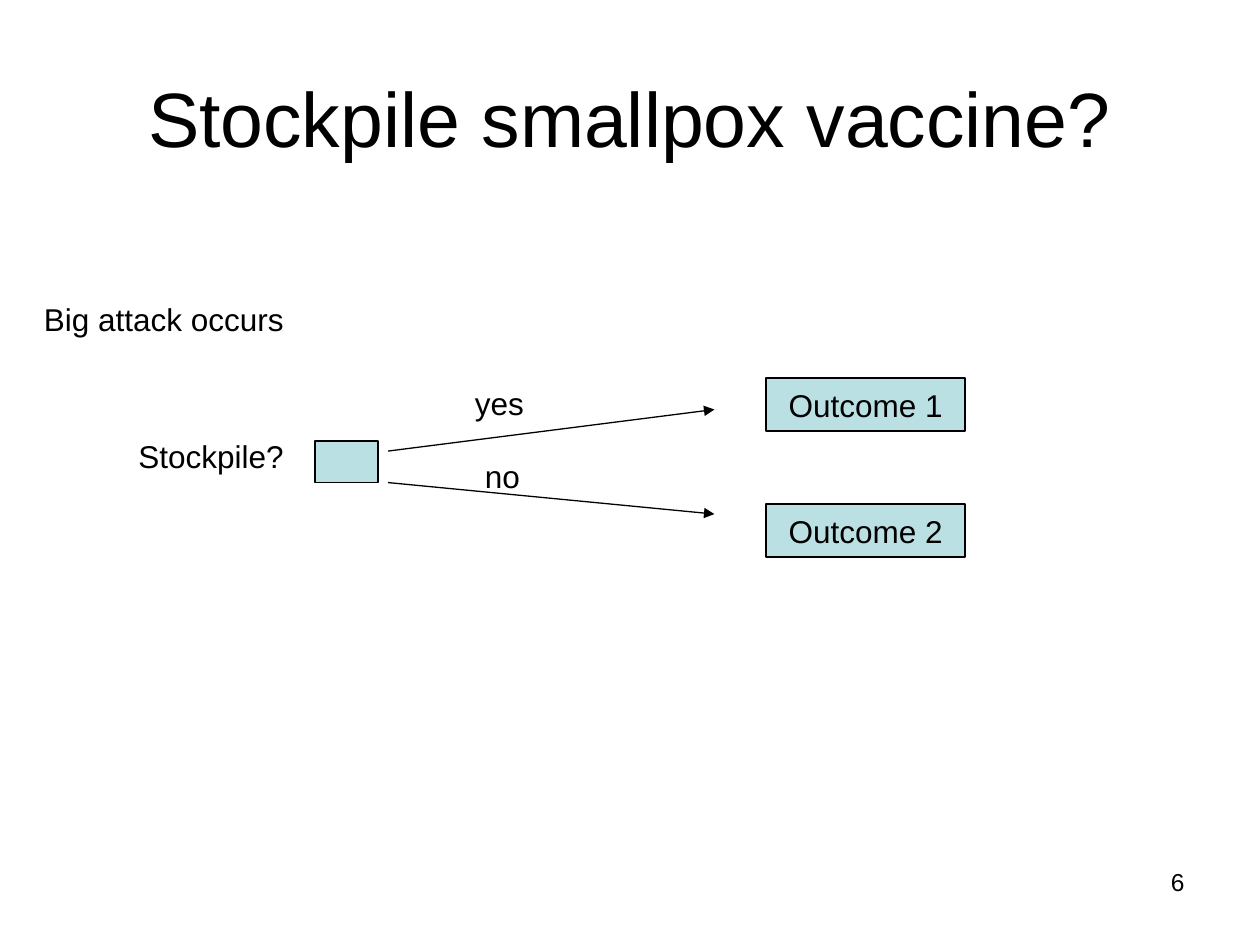
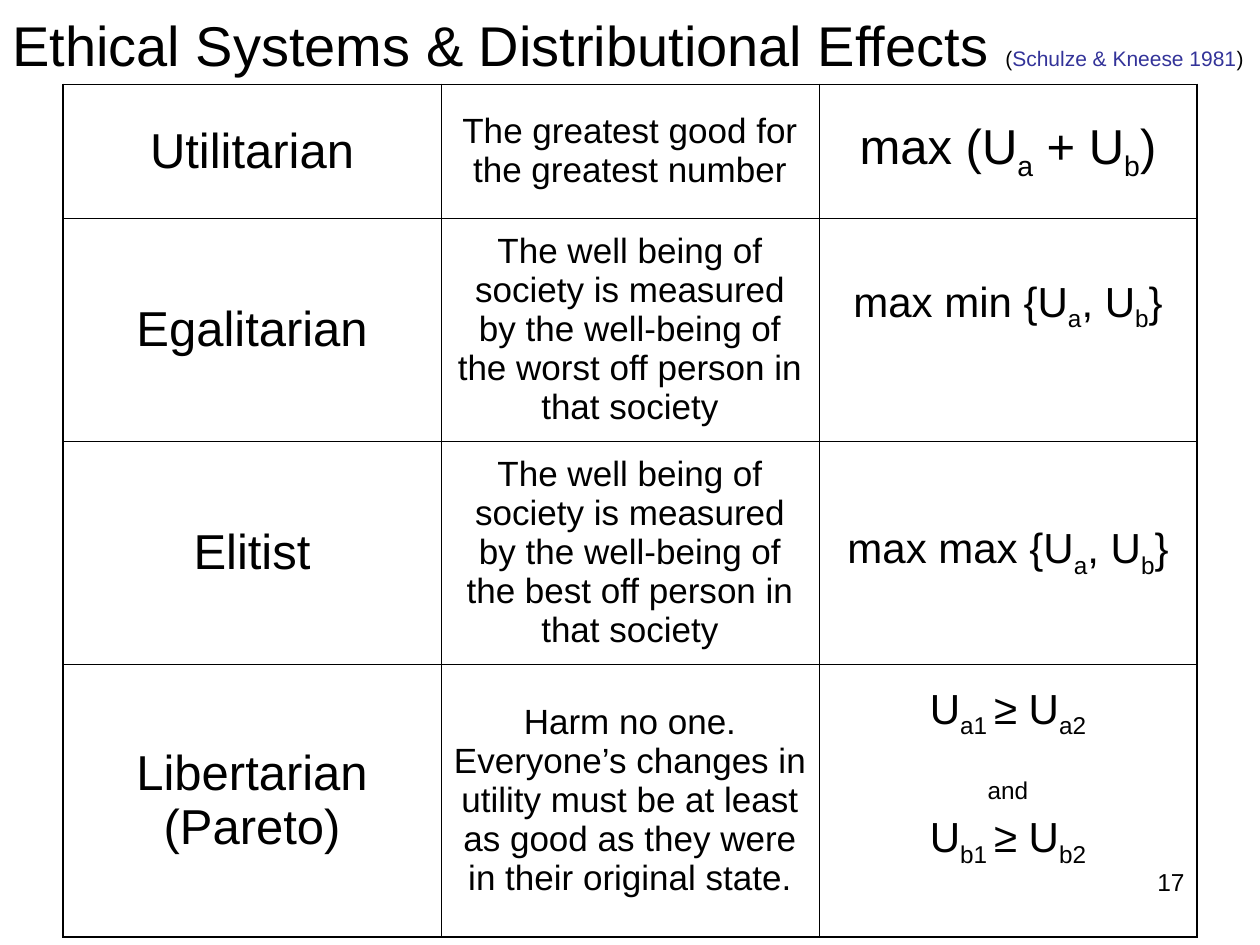
from lxml import etree
from pptx import Presentation
from pptx.dml.color import RGBColor
from pptx.enum.shapes import MSO_CONNECTOR, MSO_SHAPE
from pptx.enum.text import MSO_ANCHOR, PP_ALIGN
from pptx.oxml import parse_xml
from pptx.oxml.ns import nsdecls, qn
from pptx.util import Inches, Pt

RECTANGLE = MSO_SHAPE.RECTANGLE
PROCESS = MSO_SHAPE.FLOWCHART_PROCESS
STRAIGHT = MSO_CONNECTOR.STRAIGHT
LEFT, CENTER, RIGHT = PP_ALIGN.LEFT, PP_ALIGN.CENTER, PP_ALIGN.RIGHT
TOP, MIDDLE = MSO_ANCHOR.TOP, MSO_ANCHOR.MIDDLE

FONT = "Arial"
BLACK, WHITE, AQUA, CITATION = "000000", "FFFFFF", "BBE0E3", "333399"
THIN, THICK = 0.45, 1.08
TITLE_SIZE, LABEL_SIZE, NUMBER_SIZE = 44, 18, 14
COLUMN_WIDTH = 3
ROW_HEIGHTS = (1.06, 1.77, 1.77, 2.17)

ETHICAL_SYSTEMS = [
    ("Utilitarian", "The greatest good for the greatest number",
     ["max (U_a_ + U_b_)"], 28, 0.05),
    ("Egalitarian",
     "The well being of society is measured by the well-being of the worst off person in that society",
     ["max min {U_a_, U_b_}"], 24, 0.42),
    ("Elitist",
     "The well being of society is measured by the well-being of the best off person in that society",
     ["max max {U_a_, U_b_}"], 24, 0.05),
    ("Libertarian (Pareto)",
     "Harm no one. Everyone’s changes in utility must be at least as good as they were in their original state.",
     ["U_a1 _≥ U_a2_", "_and_", "U_b1 _≥ U_b2_"], 24, 0.42),
]


def rgb(value):
    return RGBColor.from_string(value)


def add_span(para, text, size=LABEL_SIZE, color=BLACK, subscript=False):
    span = para.add_run()
    span.text = text
    span.font.name = FONT
    span.font.size = Pt(size)
    span.font.color.rgb = rgb(color)
    if subscript:
        span.font._element.set("baseline", "-25000")


def add_formula(para, formula, size):
    for index, part in enumerate(formula.split("_")):
        if part:
            add_span(para, part, size=size, subscript=index % 2 == 1)


class SlideBuilder:
    def __init__(self, deck):
        self.deck = deck
        self.page = None

    def start_page(self, number):
        self.page = self.deck.slides.add_slide(self.deck.slide_layouts[6])
        self.page.background.fill.solid()
        self.page.background.fill.fore_color.rgb = rgb(WHITE)
        self.number = number

    def finish_page(self):
        self.text(7.17, 6.83, 2.33, 0.52, [(str(self.number), NUMBER_SIZE, BLACK)], align=RIGHT)

    def text(self, left, top, width, height, spans, align=LEFT, anchor=TOP):
        box = self.page.shapes.add_textbox(Inches(left), Inches(top), Inches(width), Inches(height))
        frame = box.text_frame
        frame.word_wrap = True
        frame.vertical_anchor = anchor
        para = frame.paragraphs[0]
        para.alignment = align
        for text, size, color in spans:
            add_span(para, text, size=size, color=color)

    def label(self, left, top, width, text):
        self.text(left, top, width, 0.4, [(text, LABEL_SIZE, BLACK)])

    def box(self, kind, left, top, width, height, text=""):
        shape = self.page.shapes.add_shape(kind, Inches(left), Inches(top), Inches(width), Inches(height))
        shape.shadow.inherit = False
        shape.fill.solid()
        shape.fill.fore_color.rgb = rgb(AQUA)
        shape.line.color.rgb = rgb(BLACK)
        shape.line.width = Pt(0.75)
        if text:
            frame = shape.text_frame
            frame.word_wrap = False
            frame.vertical_anchor = MIDDLE
            frame.paragraphs[0].alignment = CENTER
            add_span(frame.paragraphs[0], text)

    def arrow(self, start, end):
        arrow = self.page.shapes.add_connector(STRAIGHT, *map(Inches, start + end))
        arrow.line.color.rgb = rgb(BLACK)
        arrow.line.width = Pt(0.75)
        etree.SubElement(arrow.line._get_or_add_ln(), qn("a:tailEnd"), type="triangle")
        etree.SubElement(arrow._element.spPr, qn("a:effectLst"))

    def table(self, left, top, column_widths, row_heights):
        frame = self.page.shapes.add_table(
            len(row_heights), len(column_widths), Inches(left), Inches(top),
            Inches(sum(column_widths)), Inches(sum(row_heights)))
        table = frame.table
        table.first_row = table.horz_banding = False
        for column, width in zip(table.columns, column_widths):
            column.width = Inches(width)
        for row, height in zip(table.rows, row_heights):
            row.height = Inches(height)
        last_row, last_column = len(row_heights) - 1, len(column_widths) - 1
        for row in range(last_row + 1):
            for column in range(last_column + 1):
                outer = {"L": column == 0, "R": column == last_column,
                         "T": row == 0, "B": row == last_row}
                self.style_cell(table.cell(row, column), outer)
        return table

    def style_cell(self, cell, outer):
        cell.vertical_anchor = MIDDLE
        cell.fill.background()
        properties = cell._tc.get_or_add_tcPr()
        for index, (side, is_outer) in enumerate(outer.items()):
            width = Pt(THICK if is_outer else THIN)
            properties.insert(index, parse_xml(
                f'<a:ln{side} {nsdecls("a")} w="{width}"><a:solidFill>'
                f'<a:srgbClr val="{BLACK}"/></a:solidFill></a:ln{side}>'))

    def fill_cell(self, cell, lines, size, bottom=0.05):
        cell.margin_bottom = Inches(bottom)
        frame = cell.text_frame
        for index, line in enumerate(lines):
            para = frame.add_paragraph() if index else frame.paragraphs[0]
            para.alignment = CENTER
            if index:
                para.space_before = Pt(6)
            add_formula(para, line, size)


def build_stockpile_page(builder):
    builder.start_page(6)
    builder.text(0.5, 0.3, 9, 1.25, [("Stockpile smallpox vaccine?", TITLE_SIZE, BLACK)],
                 align=CENTER, anchor=MIDDLE)
    builder.arrow((3.08, 3.58), (5.67, 3.25))
    builder.arrow((3.08, 3.83), (5.67, 4.08))
    builder.label(0.25, 2.33, 2.58, "Big attack occurs")
    builder.label(1, 3.42, 1.5, "Stockpile?")
    builder.label(3.67, 3, 0.75, "yes")
    builder.label(3.75, 3.58, 2.08, "no")
    builder.box(RECTANGLE, 2.5, 3.5, 0.5, 0.33)
    for outcome in (1, 2):
        builder.box(PROCESS, 6.08, 2 + outcome, 1.58, 0.42, f"Outcome {outcome}")
    builder.finish_page()


def build_ethics_page(builder):
    builder.start_page(17)
    builder.text(0, 0, 10, 0.7, [
        ("Ethical Systems & Distributional Effects ", 32, BLACK),
        ("(", 12, BLACK), ("Schulze & Kneese 1981", 12, CITATION), (")", 12, BLACK),
    ], anchor=MIDDLE)
    table = builder.table(0.5, 0.67, [COLUMN_WIDTH] * 3, ROW_HEIGHTS)
    for row, (system, meaning, formulas, size, bottom) in enumerate(ETHICAL_SYSTEMS):
        builder.fill_cell(table.cell(row, 0), [system], 28)
        builder.fill_cell(table.cell(row, 1), [meaning], 20)
        builder.fill_cell(table.cell(row, 2), formulas, size, bottom)
    builder.finish_page()


def main():
    deck = Presentation()
    deck.slide_width, deck.slide_height = Inches(10), Inches(7.5)
    builder = SlideBuilder(deck)
    build_stockpile_page(builder)
    build_ethics_page(builder)
    deck.save("out.pptx")


if __name__ == "__main__":
    main()
